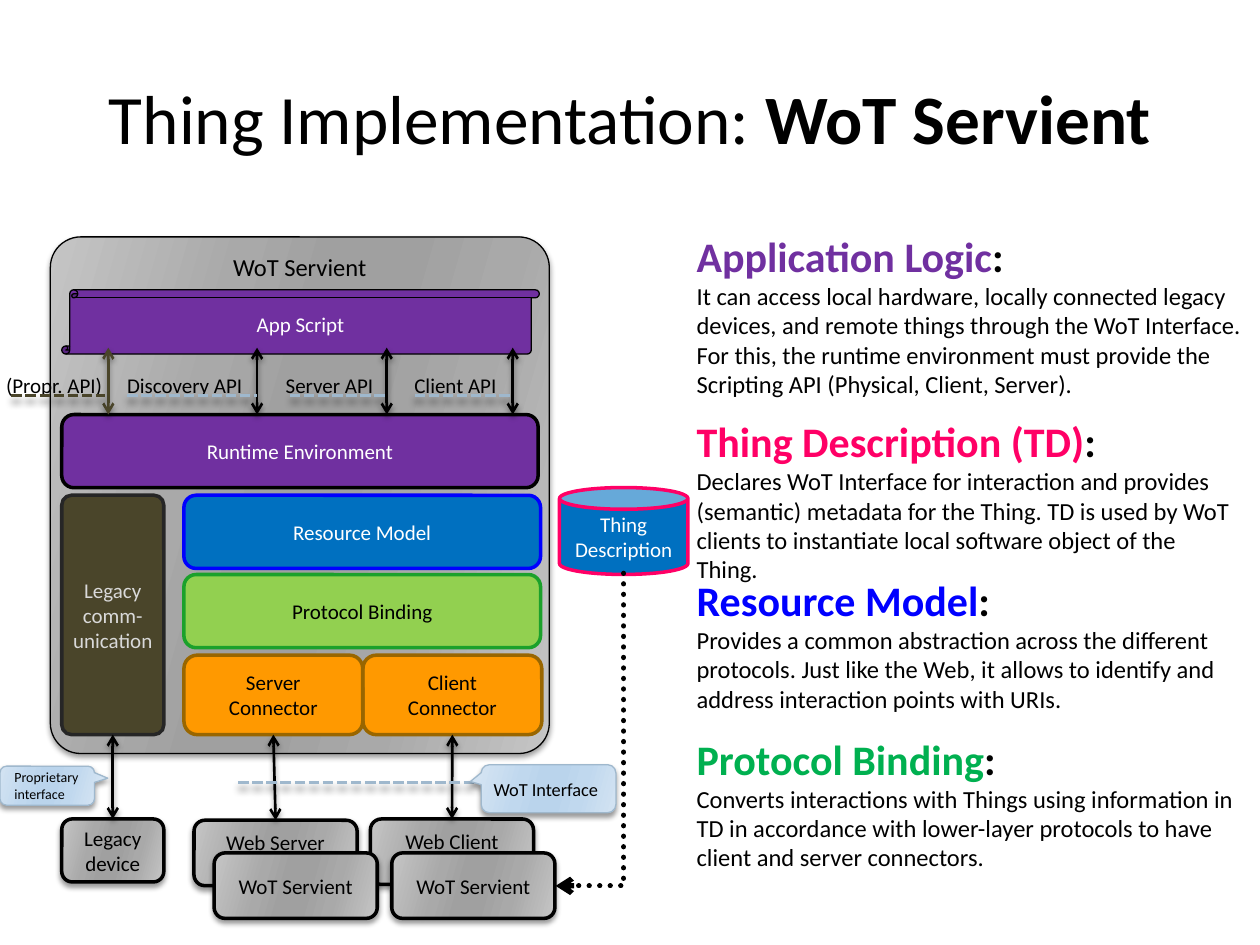
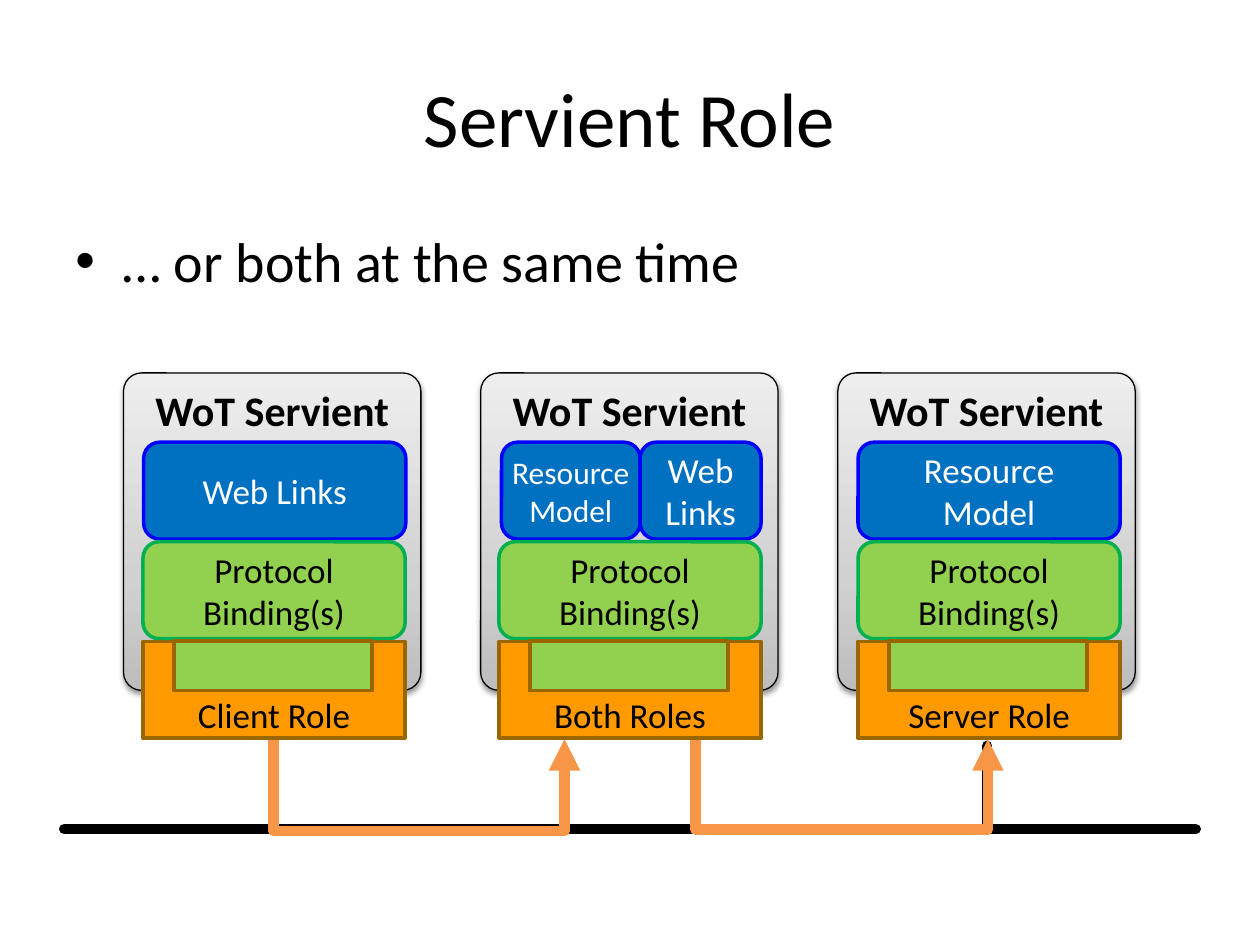
"""Build two slides on the Web of Things servient: its building blocks and its roles."""
from copy import deepcopy

from pptx import Presentation
from pptx.dml.color import RGBColor
from pptx.enum.dml import MSO_LINE
from pptx.enum.shapes import MSO_CONNECTOR, MSO_SHAPE
from pptx.enum.text import MSO_ANCHOR, PP_ALIGN
from pptx.oxml import parse_xml
from pptx.oxml.ns import nsdecls
from pptx.util import Pt

ROUND, RECT, CAN = MSO_SHAPE.ROUNDED_RECTANGLE, MSO_SHAPE.RECTANGLE, MSO_SHAPE.CAN
SCROLL, CALLOUT = MSO_SHAPE.VERTICAL_SCROLL, MSO_SHAPE.ROUNDED_RECTANGULAR_CALLOUT
STRAIGHT, ELBOW = MSO_CONNECTOR.STRAIGHT, MSO_CONNECTOR.ELBOW
DASH, DOT = MSO_LINE.SQUARE_DOT, MSO_LINE.ROUND_DOT
TOP, MIDDLE, BOTTOM = MSO_ANCHOR.TOP, MSO_ANCHOR.MIDDLE, MSO_ANCHOR.BOTTOM
LEFT, CENTER = PP_ALIGN.LEFT, PP_ALIGN.CENTER
BLACK, WHITE = "000000", "FFFFFF"
PURPLE, BLUE, BLUE_EDGE = "7030A0", "0070C0", "0000FF"
GREEN, GREEN_EDGE, ORANGE, ORANGE_EDGE = "92D050", "00B050", "FF9900", "996600"
PINK, OLIVE, STEEL, ARROW = "FF0066", "4A452A", "9FB8CD", "F79646"
color = RGBColor.from_string

GRADIENTS = {}
for name, angle, stops in (
    ("metal", 16, ((0, "C5C5C5"), (30, "A9A9A9"), (45, "A0A0A0"), (55, "A0A0A0"), (73, "A9A9A9"), (100, "C5C5C5"))),
    ("sky", 16, ((0, "D3E3F2"), (30, "C0D8EE"), (45, "BAD4EC"), (55, "BAD4EC"), (73, "C0D8EE"), (100, "D3E3F2"))),
    ("silver", 270, ((0, "BDBDBD"), (35, "D1D1D1"), (100, "EEEEEE"))),
):
    marks = "".join(f'<a:gs pos="{at * 1000}"><a:srgbClr val="{shade}"/></a:gs>' for at, shade in stops)
    GRADIENTS[name] = parse_xml(
        f'<a:gradFill {nsdecls("a")} rotWithShape="1"><a:gsLst>{marks}</a:gsLst>'
        f'<a:lin ang="{angle * 60000}" scaled="0"/></a:gradFill>')

EFFECTS = {None: parse_xml(f'<a:effectLst {nsdecls("a")}/>')}
for name, blur, distance, alpha in (("soft", 3, 2, 40), ("deep", 4, 3.4, 40), ("panel", 3.1, 1.6, 38)):
    EFFECTS[name] = parse_xml(
        f'<a:effectLst {nsdecls("a")}><a:outerShdw blurRad="{Pt(blur)}" dist="{Pt(distance)}" dir="5400000" '
        f'rotWithShape="0"><a:srgbClr val="{BLACK}"><a:alpha val="{alpha * 1000}"/></a:srgbClr>'
        '</a:outerShdw></a:effectLst>')


def add_box(page, kind, frame, text="", size=12, ink=BLACK, bold=False, fill=None, edge=None, weight=2,
            shadow=None, anchor=MIDDLE, align=CENTER, margins=(7.2, 3.6, 7.2, 3.6), adjust=()):
    """Draw a text box (kind None), a preset shape or a closed outline (list of points) with text."""
    if kind is None:
        box = page.shapes.add_textbox(*map(Pt, frame))
    elif isinstance(kind, list):
        corners = [(Pt(x), Pt(y)) for x, y in kind]
        builder = page.shapes.build_freeform(*corners[0])
        builder.add_line_segments(corners[1:])
        box = builder.convert_to_shape()
    else:
        box = page.shapes.add_shape(kind, *map(Pt, frame))
        for index, value in enumerate(adjust):
            box.adjustments[index] = value
    properties = box._element.spPr
    if fill in GRADIENTS:
        properties.insert(2, deepcopy(GRADIENTS[fill]))
    elif fill:
        box.fill.solid()
        box.fill.fore_color.rgb = color(fill)
    if edge:
        box.line.color.rgb = color(edge)
        box.line.width = Pt(weight)
    properties.append(deepcopy(EFFECTS[shadow]))
    body = box.text_frame
    for side, margin in zip(("left", "top", "right", "bottom"), margins):
        setattr(body, f"margin_{side}", Pt(margin))
    body.word_wrap = True
    body.vertical_anchor = anchor
    paragraphs = [[(line, {})] for line in text.split("\n")] if isinstance(text, str) else text
    for index, spans in enumerate(paragraphs):
        para = body.add_paragraph() if index else body.paragraphs[0]
        para.alignment = align
        for words, changes in spans:
            if words:
                span = para.add_run()
                span.text = words
                style = {"name": "Calibri", "size": Pt(size), "bold": bold, "ink": ink, **changes}
                span.font.color.rgb = color(style.pop("ink"))
                for attribute, value in style.items():
                    setattr(span.font, attribute, value)
    return box


def add_line(page, start, end, ink=BLACK, weight=1.5, dash=None, head=None, tail=None, shadow=None, elbow=None):
    """Draw a straight line, or an elbow given as (preset, turn, flip, adjustment) with a quarter turn."""
    (x1, y1), (x2, y2) = start, end
    if elbow:
        preset, turn, flip, bend = elbow
        width, height = abs(y2 - y1), abs(x2 - x1)
        x1, y1 = (x1 + x2 - width) / 2, (y1 + y2 - height) / 2
        x2, y2 = x1 + width, y1 + height
    line = page.shapes.add_connector(ELBOW if elbow else STRAIGHT, Pt(x1), Pt(y1), Pt(x2), Pt(y2))
    properties = line._element.spPr
    if elbow:
        properties.xfrm.set("rot", str(turn * 60000))
        properties.xfrm.set("flipH", flip)
        properties.prstGeom.set("prst", preset)
        if bend:
            properties.prstGeom.get_or_add_avLst().append(
                parse_xml(f'<a:gd {nsdecls("a")} name="adj1" fmla="val {round(bend * 100000)}"/>'))
    line.line.color.rgb = color(ink)
    line.line.width = Pt(weight)
    if dash:
        line.line.dash_style = dash
    stroke = line.line._ln
    if weight >= 3:
        stroke.set("cap", "rnd")
    for end_name, arrow in (("headEnd", head), ("tailEnd", tail)):
        if arrow:
            stroke.append(parse_xml(f'<a:{end_name} {nsdecls("a")} type="{arrow}"/>'))
    properties.append(deepcopy(EFFECTS[shadow]))
    return line


deck = Presentation()
deck.slide_width, deck.slide_height = Pt(720), Pt(540)
pages = []
for title_size, title in (
    (39.6, [("Thing Implementation: ", {}), ("WoT Servient", {"bold": True})]),
    (44, [("Servient Role", {})]),
):
    page = deck.slides.add_slide(deck.slide_layouts[6])
    add_box(page, None, (36, 21.6, 648, 90), [title], title_size)
    pages.append(page)
implementation, roles = pages

metal = {"fill": "metal", "edge": BLACK, "shadow": "soft"}
both_arrows = {"head": "arrow", "tail": "arrow", "shadow": "soft"}
add_box(implementation, ROUND, (28.8, 135.4, 285.1, 295.2), "WoT Servient", 14, weight=0.75,
        anchor=TOP, adjust=[0.061], **metal)
client, server = [
    add_box(implementation, ROUND, (left, 374.4, 102.2, 45.4), text, fill=ORANGE, edge=ORANGE_EDGE)
    for left, text in ((207.4, "Client\nConnector"), (105.1, "Server\nConnector"))]
for top, text, fill, edge, ink in (
    (328.3, "Protocol Binding", GREEN, "1BA12B", BLACK),
    (283, "Resource Model", BLUE, BLUE_EDGE, WHITE),
):
    add_box(implementation, ROUND, (105.1, top, 203.8, 41.8), text, ink=ink, fill=fill, edge=edge)
add_box(implementation, SCROLL, (35.3, 165.6, 272.9, 36.7), "App Script", ink=WHITE,
        fill=PURPLE, edge=BLACK, weight=0.75)
legacy = add_box(implementation, ROUND, (35.3, 283, 58.3, 136.8), "Legacy comm-unication", ink="D9D9D9",
                 fill=OLIVE, edge="262626", margins=(2.9, 3.6, 2.9, 3.6), adjust=[0.095])
add_box(implementation, CAN, (319.7, 278.6, 73.4, 49.7), "Thing\nDescription", ink=WHITE,
        fill=BLUE, edge=PINK, margins=(0, 3.6, 0, 3.6))
device = add_box(implementation, ROUND, (35.3, 468, 58.3, 36), "Legacy\ndevice", **metal)
web_server, web_client = [
    add_box(implementation, ROUND, (left, top, 93.2, 37.4), text, anchor=TOP, **metal)
    for left, top, text in ((110.9, 468.7, "Web Server"), (211.7, 468, "Web Client"))]

for upper, lower in ((legacy, device), (server, web_server), (client, web_client)):
    link = add_line(implementation, (0, 0), (10, 10), **both_arrows)
    link.begin_connect(upper, 2)
    link.end_connect(lower, 0)

add_line(implementation, (136.1, 447.1), (280.8, 447.1), STEEL, 2, DASH, shadow="deep")
for frame, text, size, margins, adjust in (
    ((0, 437.8, 54, 22.3), "Proprietary interface", 8, (7.2, 3.6, 7.2, 3.6), (0.64, -0.19, 0.17)),
    ((275, 437, 77, 27.4), "WoT Interface", 10.5, (5.8, 3.6, 0, 3.6), (-0.58, -0.15, 0.17)),
):
    add_box(implementation, CALLOUT, frame, text, size, fill="sky", edge=STEEL, weight=0.75,
            shadow="soft", align=LEFT, margins=margins, adjust=adjust)

add_box(implementation, ROUND, (35.3, 236.9, 272.2, 41.8), "Runtime Environment", ink=WHITE,
        fill=PURPLE, edge=BLACK)
for left in (122.4, 223.9):
    add_box(implementation, ROUND, (left, 487.4, 93.2, 37.4), "WoT Servient", **metal)

for text, left, width, arrow_x, dash_start, dash_end, arrow_ink, dash_ink in (
    ("Server API", 156.2, 67.7, 221, 165.6, 221, BLACK, STEEL),
    ("Client API", 229.7, 69.1, 293, 236.9, 293, BLACK, STEEL),
    ("Discovery API", 65.5, 85, 146.9, 72.7, 146.9, BLACK, STEEL),
    ("(Propr. API)", -3.6, 74.2, 61.9, 6.5, 59.8, OLIVE, OLIVE),
):
    add_line(implementation, (arrow_x, 198.7), (arrow_x, 236.9), arrow_ink, **both_arrows)
    add_box(implementation, None, (left, 209.5, width, 21.6), text, anchor=TOP, align=LEFT)
    add_line(implementation, (dash_start, 226.1), (dash_end, 226.1), dash_ink, 2, DASH, shadow="deep")

for top, height, heading, ink, text in (
    (128.2, 104.4, "Application Logic", PURPLE,
     "It can access local hardware, locally connected legacy devices, and remote things through the WoT "
     "Interface. For this, the runtime environment must provide the Scripting API (Physical, Client, Server)."),
    (234, 87.1, "Thing Description (TD)", PINK,
     "Declares WoT Interface for interaction and provides (semantic) metadata for the Thing. TD is used by "
     "WoT clients to instantiate local software object of the Thing."),
    (324.7, 87.1, "Resource Model", BLUE_EDGE,
     "Provides a common abstraction across the different protocols. Just like the Web, it allows to identify "
     "and address interaction points with URIs."),
    (415.4, 87.1, "Protocol Binding", GREEN_EDGE,
     "Converts interactions with Things using information in TD in accordance with lower-layer protocols to "
     "have client and server connectors."),
):
    heading_style = {"size": Pt(24), "bold": True}
    add_box(implementation, None, (391, top, 326.2, height),
            [[(heading, {**heading_style, "ink": ink}), (":", heading_style)], [(text, {})]],
            14, anchor=TOP, align=LEFT)
add_line(implementation, (356.4, 327.6), (317.5, 506.2), weight=3, dash=DOT, tail="arrow",
         elbow=("bentConnector2", 90, "0", None))

bullet_box = add_box(roles, None, (36, 126, 648, 356.4), "… or both at the same time", 32, anchor=TOP, align=LEFT)
bullet = bullet_box.text_frame.paragraphs[0]._p.get_or_add_pPr()
bullet.set("marL", str(Pt(27)))
bullet.set("indent", str(Pt(-27)))
for tag in ('buFont {} typeface="Arial"', 'buChar {} char="•"'):
    bullet.append(parse_xml(f"<a:{tag.format(nsdecls('a'))}/>"))

for left in (70.6, 274.7, 478.8):
    add_box(roles, ROUND, (left, 213.1, 169.9, 181.4), "WoT Servient", 24, bold=True, fill="silver",
            edge=BLACK, weight=0.75, shadow="panel", anchor=TOP, adjust=[0.061])
add_line(roles, (36.7, 473.8), (683.3, 473.8), weight=6)
for x in (156, 564.1):
    add_line(roles, (x, 472.3), (x, 426.2), weight=6)
for start_x, end_x, depth in ((156.2, 322.6, 54), (397.4, 564.5, 53)):
    add_line(roles, (start_x, 421.4), (end_x, 422.4), ARROW, 6, tail="triangle",
             elbow=("bentConnector3", 270, "1", depth))

box_width, box_height = 149.8, 55.4
for left, role, models in (
    (81.7, "Client Role", [(82.1, box_width, "Web Links", 20)]),
    (285.1, "Both Roles", [(286.6, 79.2, "Resource\nModel", 18), (365.8, 69.1, "Web\nLinks", 20)]),
    (490.3, "Server Role", [(490.3, box_width, "Resource\nModel", 20)]),
):
    for model_left, width, text, size in models:
        add_box(roles, ROUND, (model_left, 252.7, width, box_height), text, size, WHITE, fill=BLUE,
                edge=BLUE_EDGE, margins=(0, 3.6, 0, 3.6))
    add_box(roles, ROUND, (left, 309.6, box_width, box_height), "Protocol\nBinding(s)", 20,
            fill=GREEN, edge=GREEN_EDGE)
    top, bottom, right = 366.5, 421.9, left + box_width
    slot_left, slot_width, slot_height = left + 17.8, 113, 28.1
    slot_right, slot_bottom = slot_left + slot_width, top + slot_height
    bracket = [(left, top), (slot_left, top), (slot_left, slot_bottom), (slot_right, slot_bottom),
               (slot_right, top), (right, top), (right, bottom), (left, bottom)]
    add_box(roles, bracket, None, role, 20, fill=ORANGE, edge=ORANGE_EDGE, anchor=BOTTOM,
            margins=(7.2, 0, 7.2, 1.4))
    add_box(roles, RECT, (slot_left, top, slot_width, slot_height), fill=GREEN, edge=ORANGE_EDGE, weight=2.25)

deck.save("out.pptx")
